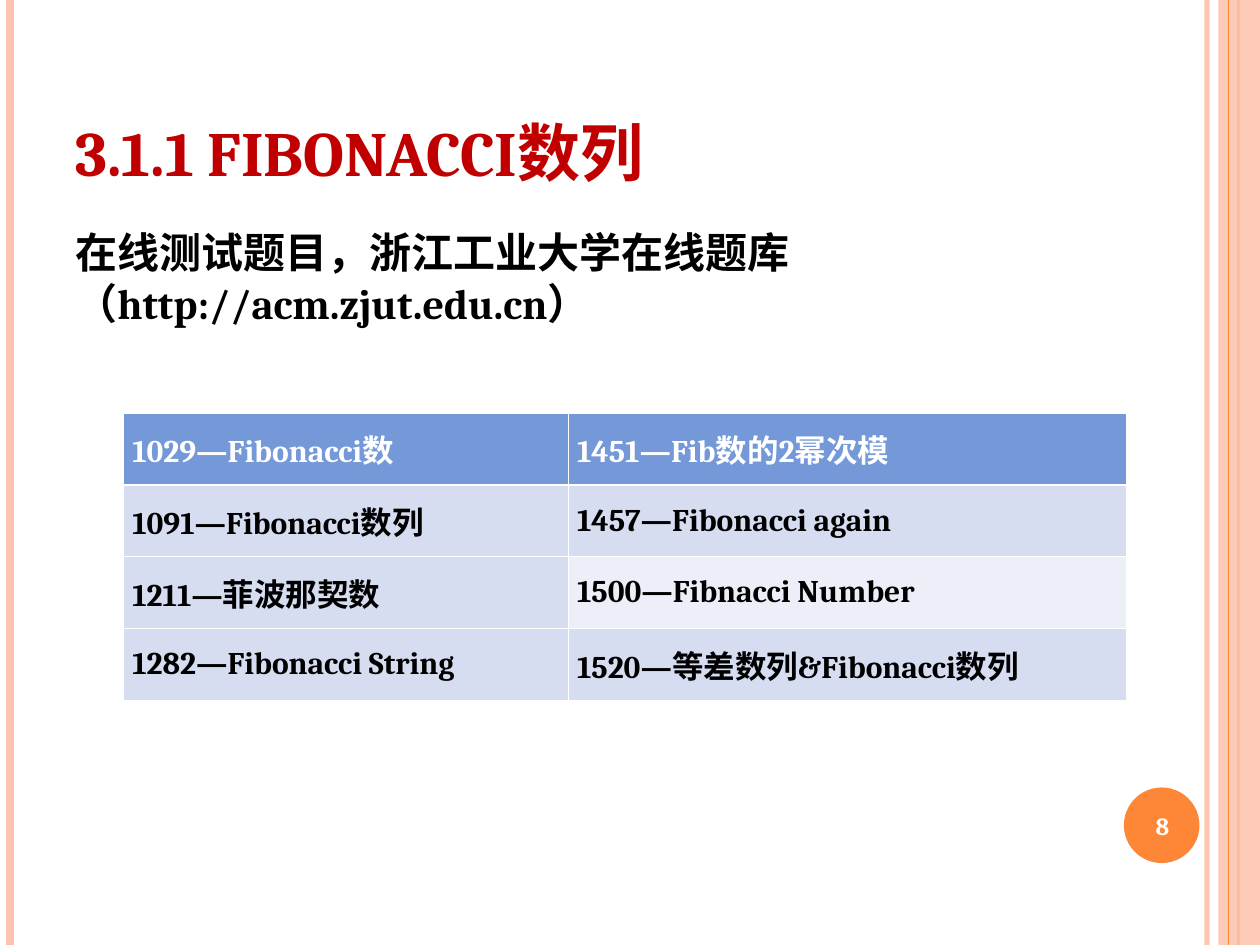
import pptx
import pptx.util
import pptx.dml.color
import pptx.enum.shapes
import pptx.enum.text
import pptx.oxml.ns
import lxml.etree

Inches = pptx.util.Inches
Pt = pptx.util.Pt
RGBColor = pptx.dml.color.RGBColor
Shape = pptx.enum.shapes.MSO_SHAPE
Align = pptx.enum.text.PP_ALIGN
Anchor = pptx.enum.text.MSO_ANCHOR
qn = pptx.oxml.ns.qn

WIDTH, HEIGHT = 10, 7.5
FONT = "Cambria"
ORANGE = RGBColor(0xFE, 0x86, 0x37)
PEACH = RGBColor(0xFE, 0xC3, 0xAE)
RED = RGBColor(0xC0, 0x00, 0x00)
BLACK = RGBColor(0x00, 0x00, 0x00)
WHITE = RGBColor(0xFF, 0xFF, 0xFF)
HEADER_BLUE = RGBColor(0x75, 0x98, 0xD9)
BAND_BLUE = RGBColor(0xD6, 0xDD, 0xF1)
PALE_BLUE = RGBColor(0xEC, 0xEF, 0xF8)

STRIPES = [(9.58, PEACH, 3, 93), (0.08, PEACH, 4.5, 100), (9.83, ORANGE, 1.5, 100)]
PROBLEMS = [
    ("1029—Fibonacci数", "1451—Fib数的2幂次模"),
    ("1091—Fibonacci数列", "1457—Fibonacci again"),
    ("1211—菲波那契数", "1500—Fibnacci Number"),
    ("1282—Fibonacci String", "1520—等差数列&Fibonacci数列"),
]
COLUMNS = (3.53, 4.43)
ROW_HEIGHT = 0.57
THIN, THICK = 0.45, 1.5


def write(frame, text, size=18, color=BLACK, align=Align.LEFT, anchor=Anchor.TOP):
    frame.word_wrap = True
    frame.vertical_anchor = anchor
    paragraph = frame.paragraphs[0]
    paragraph.text = text
    paragraph.alignment = align
    for run in paragraph.runs:
        run.font.name = FONT
        run.font.size = Pt(size)
        run.font.bold = True
        run.font.color.rgb = color


def add_text(slide, box, text, **style):
    write(slide.shapes.add_textbox(*map(Inches, box)).text_frame, text, **style)


def set_opacity(element, percent):
    if percent < 100:
        color = next(element.iter(qn("a:srgbClr")))
        lxml.etree.SubElement(color, qn("a:alpha"), val=str(percent * 1000))


def add_stripe(slide, x, color, width, opacity=100):
    stripe = slide.shapes.add_connector(
        pptx.enum.shapes.MSO_CONNECTOR.STRAIGHT, Inches(x), 0, Inches(x), Inches(HEIGHT))
    stripe.line.color.rgb = color
    stripe.line.width = Pt(width)
    properties = stripe._element.spPr
    set_opacity(properties, opacity)
    lxml.etree.SubElement(properties, qn("a:effectLst"))


def add_plain_shape(slide, kind, box, color, opacity=100):
    shape = slide.shapes.add_shape(kind, *map(Inches, box))
    shape.shadow.inherit = False
    shape.fill.solid()
    shape.fill.fore_color.rgb = color
    shape.line.fill.background()
    set_opacity(shape._element.spPr, opacity)


def set_borders(cell, **widths):
    properties = cell._tc.get_or_add_tcPr()
    for side in ("L", "R", "T", "B"):
        width = Pt(widths.get(side, THIN))
        line = lxml.etree.SubElement(properties, qn("a:ln" + side), w=str(width))
        fill = lxml.etree.SubElement(line, qn("a:solidFill"))
        lxml.etree.SubElement(fill, qn("a:srgbClr"), val=str(WHITE))


def fill_cell(cell, text, background, color):
    cell.margin_left = cell.margin_right = Inches(0.07)
    cell.margin_top = cell.margin_bottom = Inches(0.05)
    write(cell.text_frame, text, color=color, align=Align.JUSTIFY)
    cell.vertical_anchor = Anchor.MIDDLE
    cell.fill.solid()
    cell.fill.fore_color.rgb = background


def add_problem_table(slide, left, top):
    table = slide.shapes.add_table(
        len(PROBLEMS), len(COLUMNS), Inches(left), Inches(top),
        Inches(sum(COLUMNS)), Inches(ROW_HEIGHT * len(PROBLEMS))).table
    for column, width in zip(table.columns, COLUMNS):
        column.width = Inches(width)
    for r, problems in enumerate(PROBLEMS):
        table.rows[r].height = Inches(ROW_HEIGHT)
        for c, problem in enumerate(problems):
            cell = table.cell(r, c)
            set_borders(cell, T=THICK if r == 1 else THIN, B=THICK if r == 0 else THIN)
            if r == 0:
                fill_cell(cell, problem, HEADER_BLUE, WHITE)
            else:
                pale = r % 2 == 0 and c > 0
                fill_cell(cell, problem, PALE_BLUE if pale else BAND_BLUE, BLACK)


def main():
    deck = pptx.Presentation()
    deck.slide_width, deck.slide_height = Inches(WIDTH), Inches(HEIGHT)
    slide = deck.slides.add_slide(deck.slide_layouts[6])

    for stripe in STRIPES:
        add_stripe(slide, *stripe)
    add_plain_shape(slide, Shape.RECTANGLE, (9.67, 0, 0.33, HEIGHT), PEACH, 87)
    add_stripe(slide, 9.75, ORANGE, 0.75)
    add_plain_shape(slide, Shape.OVAL, (8.92, 6.25, 0.6, 0.6), ORANGE)

    add_text(slide, (0.5, 0.3, 9.07, 1.25), "3.1.1 FIBONACCI数列",
             size=36, color=RED, anchor=Anchor.BOTTOM)
    add_text(slide, (0.5, 1.75, 8.91, 1.06),
             "在线测试题目，浙江工业大学在线题库\v（http://acm.zjut.edu.cn）", size=24)
    add_text(slide, (8.89, 6.27, 0.67, 0.57), "8",
             size=14, color=WHITE, align=Align.CENTER, anchor=Anchor.MIDDLE)
    add_problem_table(slide, 0.98, 3.28)
    deck.save("out.pptx")


if __name__ == "__main__":
    main()
